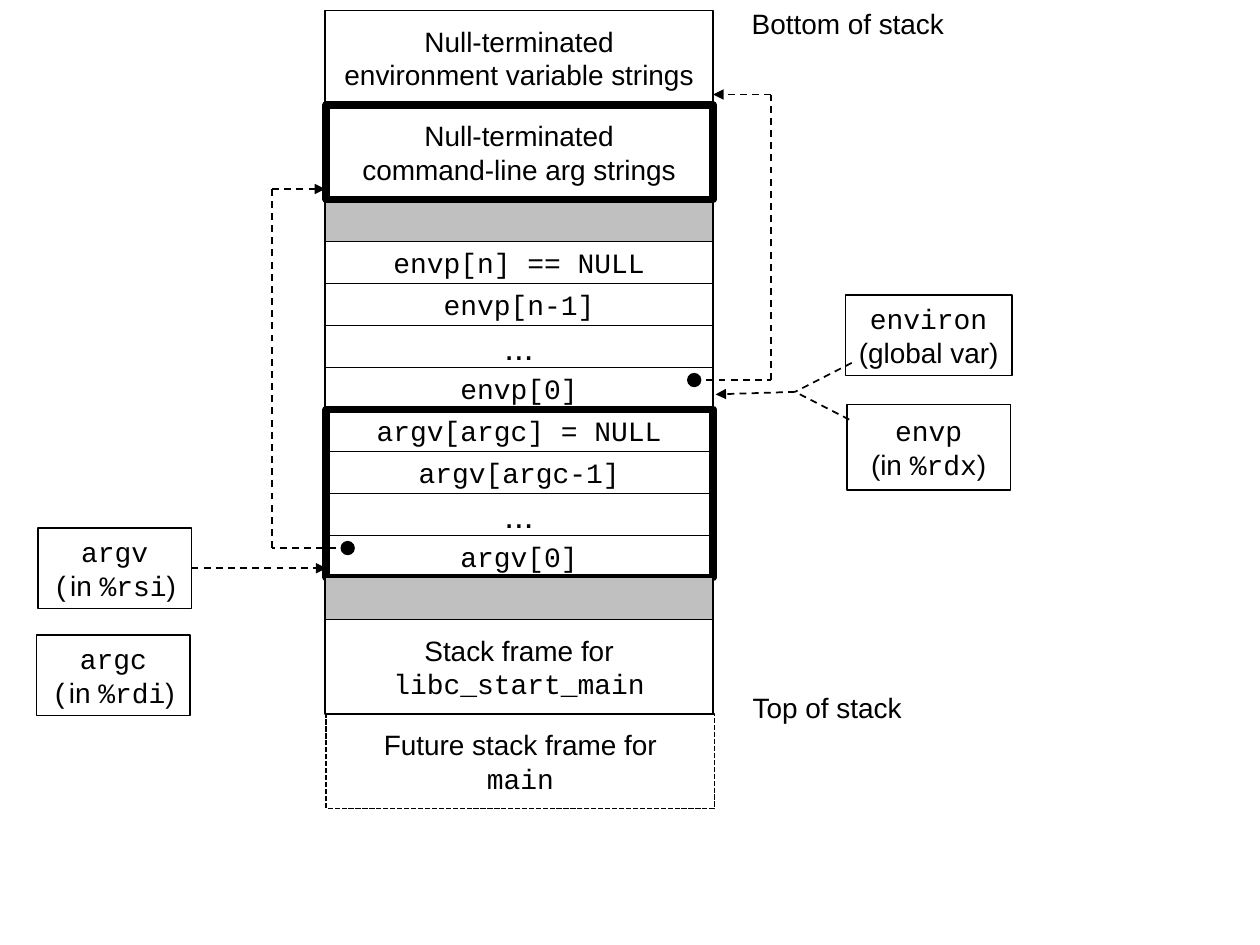
from dataclasses import dataclass

import pptx
from lxml import etree
from pptx.dml.color import RGBColor
from pptx.enum.dml import MSO_LINE
from pptx.enum.shapes import MSO_CONNECTOR, MSO_SHAPE
from pptx.enum.text import MSO_ANCHOR, PP_ALIGN
from pptx.oxml.ns import qn
from pptx.util import Inches, Pt

BLACK = RGBColor(0x00, 0x00, 0x00)
WHITE = RGBColor(0xFF, 0xFF, 0xFF)
GRAY = RGBColor(0xC0, 0xC0, 0xC0)
SANS, MONO = "Arial", "Courier New"

UNIT = 1 / 12  # inches; one step of the stack's row grid
SLOT, BLOCK = 4, 9  # row heights in units

DATA_ROWS = [
    (BLOCK, None, [[("Null-terminated", SANS)], [("environment variable strings", SANS)]]),
    (BLOCK, None, [[("Null-terminated", SANS)], [("command-line arg strings", SANS)]]),
    (SLOT, GRAY, []),
    (SLOT, WHITE, [[("envp[n] == NULL", MONO)]]),
    (SLOT, WHITE, [[("envp[n-1]", MONO)]]),
    (SLOT, None, [[("...", SANS)]]),
    (SLOT, WHITE, [[("envp[0]", MONO)]]),
    (SLOT, WHITE, [[("argv[argc] = NULL", MONO)]]),
    (SLOT, WHITE, [[("argv[argc-1]", MONO)]]),
    (SLOT, None, [[("...", SANS)]]),
    (SLOT, WHITE, [[("argv[0]", MONO)]]),
]
FRAME_ROWS = [
    (SLOT, GRAY, []),
    (BLOCK, None, [[("Stack frame for", SANS)], [("libc_start_main", MONO)]]),
]
FUTURE_FRAME = [[("Future stack frame for", SANS)], [("main", MONO)]]


@dataclass
class Box:
    left: float
    top: float
    width: float
    height: float

    @property
    def right(self):
        return self.left + self.width

    @property
    def bottom(self):
        return self.top + self.height

    def emu(self):
        return [Inches(v) for v in (self.left, self.top, self.width, self.height)]


def write(shape, lines, wrap=False):
    """Write centred lines, each a list of (text, font name) runs."""
    frame = shape.text_frame
    frame.word_wrap = wrap
    frame.vertical_anchor = MSO_ANCHOR.MIDDLE
    for index, line in enumerate(lines):
        paragraph = frame.paragraphs[0] if index == 0 else frame.add_paragraph()
        paragraph.alignment = PP_ALIGN.CENTER
        paragraph.font.size = Pt(20 if line[0][0] == "..." else 16)
        paragraph.font.color.rgb = BLACK
        if len(line) == 1:
            paragraph.font.name = line[0][1]
        for text, font_name in line:
            run = paragraph.add_run()
            run.text = text
            if len(line) > 1:
                run.font.name = font_name


def draw_shape(slide, box, lines=(), fill=None, weight=1, dash=None,
               kind=MSO_SHAPE.RECTANGLE, wrap=False):
    shape = slide.shapes.add_shape(kind, *box.emu())
    shape.shadow.inherit = False
    if fill is None:
        shape.fill.background()
    else:
        shape.fill.solid()
        shape.fill.fore_color.rgb = fill
    shape.line.color.rgb = BLACK
    shape.line.width = Pt(weight)
    if dash:
        shape.line.dash_style = dash
    write(shape, lines, wrap)
    return shape


def draw_label(slide, box, text):
    write(slide.shapes.add_textbox(*box.emu()), [[(text, SANS)]])


def draw_route(slide, points, arrow=True):
    """Join points with dashed lines, with an arrowhead at the last; return the lines."""
    segments = []
    for start, end in zip(points, points[1:]):
        segment = slide.shapes.add_connector(
            MSO_CONNECTOR.STRAIGHT, *[Inches(v) for v in (*start, *end)])
        segment.line.color.rgb = BLACK
        segment.line.width = Pt(1)
        segment.line.dash_style = MSO_LINE.DASH
        properties = segment.line._get_or_add_ln()
        etree.SubElement(segment._element.spPr, qn("a:effectLst"))
        segments.append(segment)
    if arrow:
        etree.SubElement(properties, qn("a:tailEnd"), type="triangle")
    return segments


def draw_rows(slide, box, rows):
    """Stack rows downwards from the top of box and return each row's box."""
    placed, top = [], box.top
    for units, fill, lines in rows:
        row = Box(box.left, top, box.width, units * UNIT)
        draw_shape(slide, row, lines, fill)
        placed.append(row)
        top = row.bottom
    return placed


def draw_stack(slide, box):
    """Draw the stack in box and return the boxes of its data rows."""
    data = draw_rows(slide, box, DATA_ROWS)
    arg_strings, argv_top, argv_bottom = data[1], data[7], data[10]
    for first, last in ((arg_strings, arg_strings), (argv_top, argv_bottom)):
        outline = Box(box.left + 0.01, first.top, box.width - 0.01, last.bottom - first.top)
        draw_shape(slide, outline, weight=4.5)
    below = Box(box.left, argv_bottom.bottom, box.width, 0)
    frames = draw_rows(slide, below, FRAME_ROWS)
    future = Box(box.left + 0.01, frames[-1].bottom, box.width, BLOCK * UNIT)
    draw_shape(slide, future, FUTURE_FRAME, dash=MSO_LINE.SQUARE_DOT)
    draw_label(slide, Box(box.right + 0.2, 0, 1.74, 0.37), "Bottom of stack")
    draw_label(slide, Box(box.right + 0.2, future.top - 0.24, 1.41, 0.37), "Top of stack")
    return data


def draw_string_pointers(slide, data):
    """Lead the first entry of each vector to the strings it points at."""
    env_strings, arg_strings, envp_first, argv_first = (data[i] for i in (0, 1, 6, 10))
    routes = (
        (argv_first.left + 0.18, argv_first.top + 0.1,
         argv_first.left - 0.42, arg_strings.left, arg_strings.bottom - UNIT),
        (envp_first.right - 0.15, envp_first.top + 0.1,
         envp_first.right + 0.46, env_strings.right, env_strings.bottom - UNIT),
    )
    for dot_x, dot_y, bend_x, end_x, end_y in routes:
        draw_route(slide, [(dot_x, dot_y), (bend_x, dot_y), (bend_x, end_y), (end_x, end_y)])
        draw_shape(slide, Box(dot_x - 0.05, dot_y - 0.05, 0.1, 0.1),
                   fill=BLACK, kind=MSO_SHAPE.OVAL)


def draw_argument_registers(slide, box, argv_first):
    """Draw argv and argc in a column, with argv pointing at the vector."""
    for name, register, left, top in (("argv", "%rsi", box.left, box.top),
                                      ("argc", "%rdi", box.left - 0.01, box.top + 0.85)):
        lines = [[(name, MONO)], [("(", MONO), ("in ", SANS), (register, MONO), (")", SANS)]]
        variable = draw_shape(slide, Box(left, top, box.width, box.height), lines)
        if name == "argv":
            middle = box.top + box.height / 2
            pointer, = draw_route(slide, [(box.right, middle), (argv_first.left + 0.01, middle)])
            pointer.begin_connect(variable, 3)


def draw_environment_variables(slide, box, envp_first):
    """Draw environ above envp, both pointing at the vector."""
    environ = Box(box.left, box.top, box.width, 0.64)
    envp = Box(box.left + 0.01, box.bottom - 0.68, box.width - 0.02, 0.68)
    draw_shape(slide, environ, [[("environ", MONO)], [("(global var)", SANS)]])
    draw_shape(slide, envp, [[("envp", MONO)],
                             [("(in ", SANS), ("%rdx", MONO), (")", SANS)]], wrap=True)
    merge = (box.left - 0.4, envp.top - 0.1)
    draw_route(slide, [(environ.left + 0.05, environ.bottom - 0.1), merge], arrow=False)
    draw_route(slide, [(envp.left + 0.02, envp.top + 0.12), merge], arrow=False)
    draw_route(slide, [merge, (envp_first.right + 0.02, merge[1] + 0.02)])


def main():
    presentation = pptx.Presentation()
    presentation.slide_width, presentation.slide_height = Inches(10), Inches(7.5)
    slide = presentation.slides.add_slide(presentation.slide_layouts[6])
    data = draw_stack(slide, Box(2.58, UNIT, 3.08, 76 * UNIT))
    draw_string_pointers(slide, data)
    draw_argument_registers(slide, Box(0.3, 4.19, 1.22, 0.64), data[10])
    draw_environment_variables(slide, Box(6.71, 2.34, 1.32, 1.55), data[6])
    presentation.save("out.pptx")


if __name__ == "__main__":
    main()
